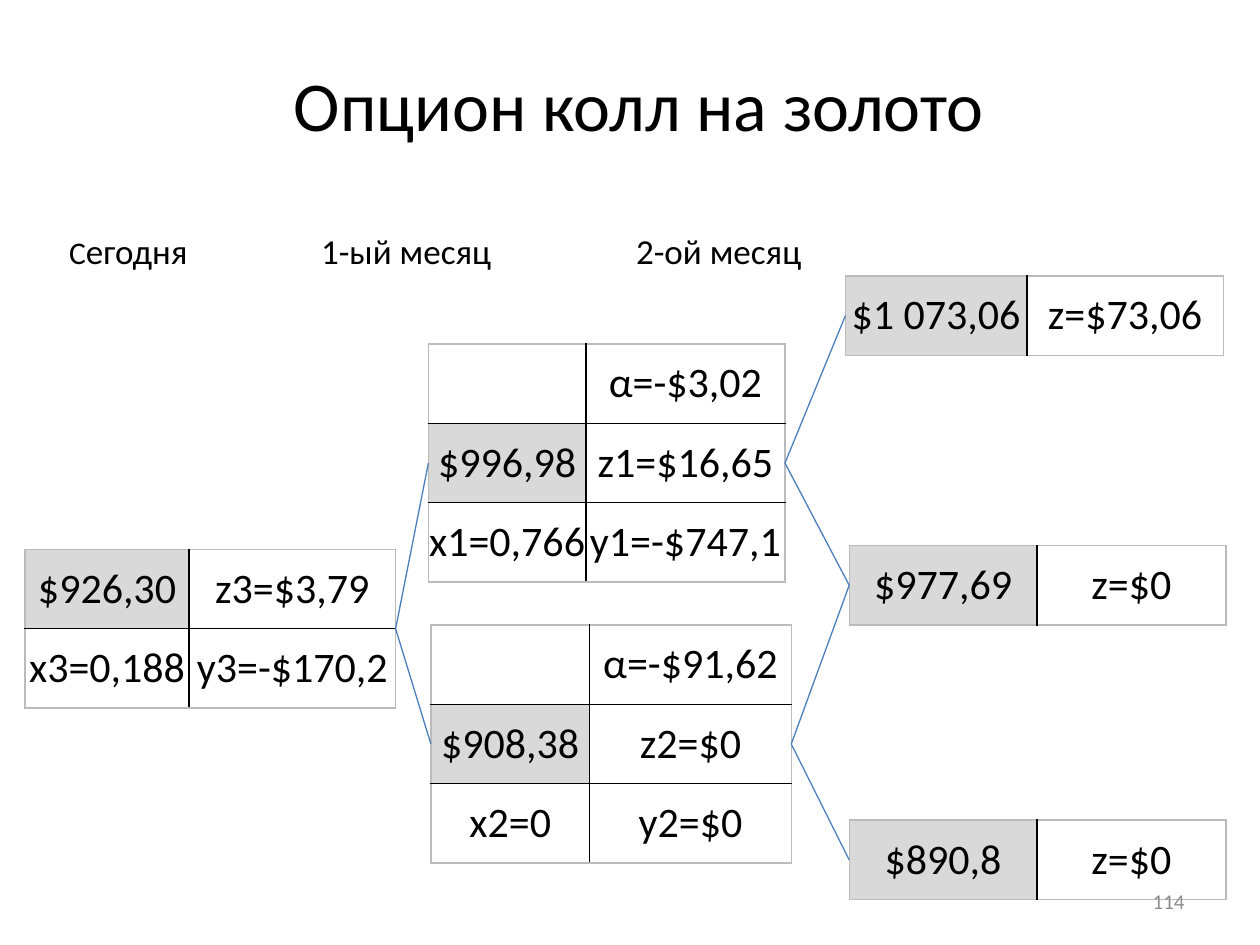
import dataclasses

import lxml.etree
import pptx
import pptx.dml.color
import pptx.enum.shapes
import pptx.enum.text
import pptx.oxml.ns
import pptx.util

Inches = pptx.util.Inches
Align = pptx.enum.text.PP_ALIGN
Anchor = pptx.enum.text.MSO_ANCHOR


@dataclasses.dataclass(frozen=True)
class Theme:
    font: str = "Calibri"
    ink: str = "000000"
    muted: str = "8C8C8C"
    frame: str = "BBBBBB"
    price: str = "D9D9D9"
    link: str = "4B7EBC"
    title_size: int = 40
    cell_size: int = 24
    label_size: int = 20
    initial_size: int = 18
    number_size: int = 12
    border_width: float = 1
    link_width: float = 0.75
    row_height: float = 0.63


class SlideBuilder:
    """Draw styled elements on one slide."""

    def __init__(self, slide, theme):
        self.slide = slide
        self.theme = theme

    def add_run(self, paragraph, text, size, color):
        run = paragraph.add_run()
        run.text = text
        run.font.name = self.theme.font
        run.font.size = pptx.util.Pt(size)
        run.font.color.rgb = pptx.dml.color.RGBColor.from_string(color)

    def add_text(self, box, runs, color, align=Align.LEFT, anchor=Anchor.TOP):
        shape = self.slide.shapes.add_textbox(*map(Inches, box))
        frame = shape.text_frame
        frame.word_wrap = True
        frame.vertical_anchor = anchor
        paragraph = frame.paragraphs[0]
        paragraph.alignment = align
        for text, size in runs:
            self.add_run(paragraph, text, size, color)

    def set_border(self, cell, side, color):
        qn = pptx.oxml.ns.qn
        width = str(pptx.util.Pt(self.theme.border_width))
        line = lxml.etree.Element(qn(f"a:{side}"), w=width)
        fill = lxml.etree.SubElement(line, qn("a:solidFill"))
        lxml.etree.SubElement(fill, qn("a:srgbClr"), val=color)
        cell._tc.get_or_add_tcPr().append(line)

    def fill_cell(self, cell, text, edges):
        theme = self.theme
        for side, outer in edges.items():
            self.set_border(cell, side, theme.frame if outer else theme.ink)
        cell.margin_left = cell.margin_right = 0
        cell.margin_top = cell.margin_bottom = 0
        cell.vertical_anchor = Anchor.MIDDLE
        if text.startswith("$"):
            cell.fill.solid()
            cell.fill.fore_color.rgb = pptx.dml.color.RGBColor.from_string(theme.price)
        else:
            cell.fill.background()
        if text:
            paragraph = cell.text_frame.paragraphs[0]
            paragraph.alignment = Align.CENTER
            self.add_run(paragraph, text, theme.cell_size, theme.ink)

    def add_node(self, left, top, widths, rows):
        height = self.theme.row_height * len(rows)
        frame = self.slide.shapes.add_table(
            len(rows), len(widths), Inches(left), Inches(top),
            Inches(sum(widths)), Inches(height))
        table = frame.table
        table.first_row = table.horz_banding = False
        for column, width in zip(table.columns, widths):
            column.width = Inches(width)
        for row_index, texts in enumerate(rows):
            table.rows[row_index].height = Inches(self.theme.row_height)
            for column_index, text in enumerate(texts):
                edges = {
                    "lnL": column_index == 0,
                    "lnR": column_index == len(widths) - 1,
                    "lnT": row_index == 0,
                    "lnB": row_index == len(rows) - 1,
                }
                self.fill_cell(table.cell(row_index, column_index), text, edges)
        return frame

    def add_link(self, source, target):
        connector = self.slide.shapes.add_connector(
            pptx.enum.shapes.MSO_CONNECTOR.STRAIGHT,
            source.left + source.width, source.top + source.height // 2,
            target.left, target.top + target.height // 2)
        connector.line.color.rgb = pptx.dml.color.RGBColor.from_string(self.theme.link)
        connector.line.width = pptx.util.Pt(self.theme.link_width)
        lxml.etree.SubElement(
            connector._element.spPr, pptx.oxml.ns.qn("a:effectLst"))


def main():
    presentation = pptx.Presentation()
    presentation.slide_width = Inches(10)
    presentation.slide_height = Inches(7.5)
    theme = Theme()
    slide = presentation.slides.add_slide(presentation.slide_layouts[6])
    builder = SlideBuilder(slide, theme)

    today = builder.add_node(0.2, 4.36, (1.3, 1.64), [
        ("$926,30", "z3=$3,79"), ("x3=0,188", "y3=-$170,2")])
    month_up = builder.add_node(3.4, 2.73, (1.25, 1.58), [
        ("", "α=-$3,02"), ("$996,98", "z1=$16,65"), ("x1=0,766", "y1=-$747,1")])
    month_down = builder.add_node(3.42, 4.96, (1.26, 1.6), [
        ("", "α=-$91,62"), ("$908,38", "z2=$0"), ("x2=0", "y2=$0")])
    final_low = builder.add_node(6.74, 6.51, (1.49, 1.5), [("$890,8", "z=$0")])
    final_middle = builder.add_node(6.74, 4.33, (1.49, 1.5), [("$977,69", "z=$0")])
    final_high = builder.add_node(6.71, 2.19, (1.44, 1.56), [("$1 073,06", "z=$73,06")])

    branches = [
        (today, (month_up, month_down)),
        (month_up, (final_high, final_middle)),
        (month_down, (final_middle, final_low)),
    ]
    for source, targets in branches:
        for target in targets:
            builder.add_link(source, target)

    builder.add_text((0.45, 1.77, 9.13, 0.44), [
        ("С", theme.initial_size),
        ("егодня\t\t\t1-ый месяц\t\t\t2-ой месяц", theme.label_size)], theme.ink)
    builder.add_text((0.74, 0.44, 8.66, 0.77), [
        ("Опцион колл на золото", theme.title_size)], theme.ink, Align.CENTER)
    builder.add_text((7.17, 6.95, 2.33, 0.4), [
        ("114", theme.number_size)], theme.muted, Align.RIGHT, Anchor.MIDDLE)

    presentation.save("out.pptx")


if __name__ == "__main__":
    main()
